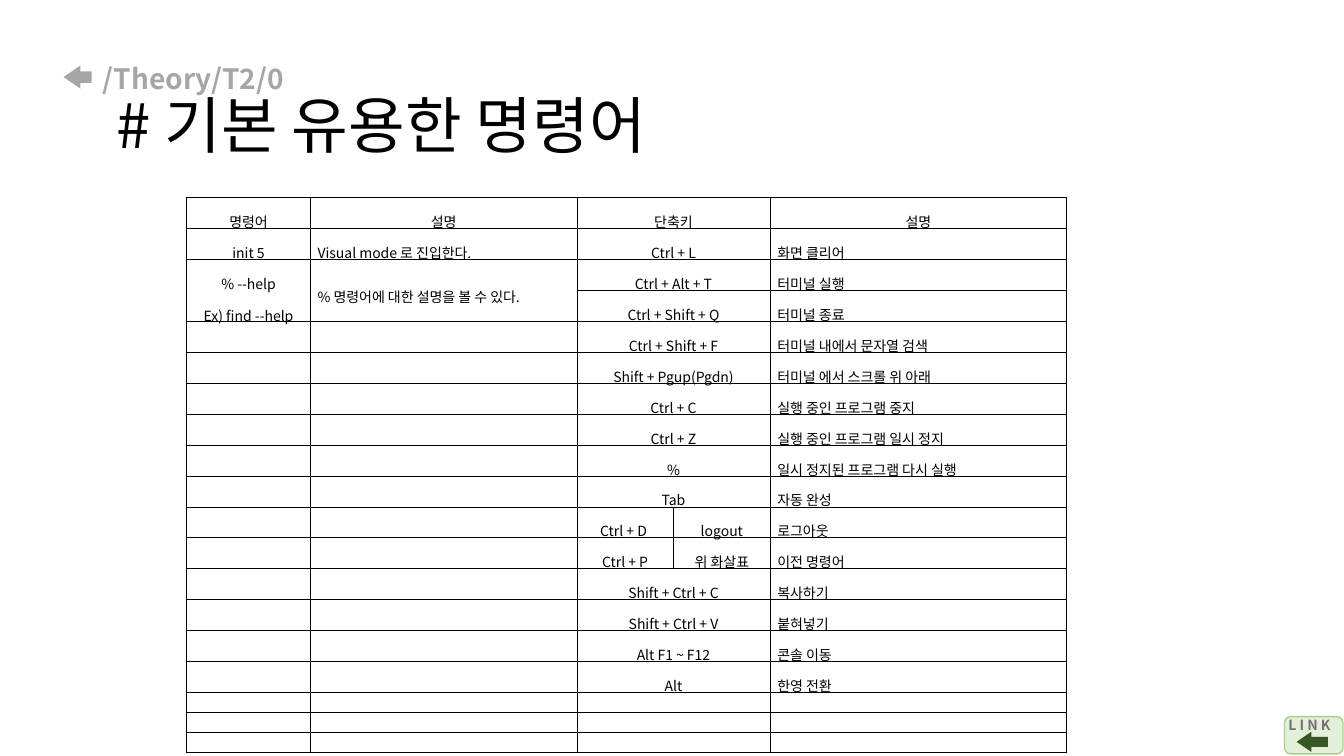
from pptx import Presentation
from pptx.util import Inches, Pt
from pptx.dml.color import RGBColor
from pptx.enum import shapes, text
from pptx.oxml import parse_xml
from pptx.oxml.ns import nsdecls, qn

FONT = "Noto Sans CJK KR"
KIND = shapes.MSO_SHAPE


def style(run, size, color, bold=False):
    look = {"size": Pt(size), "bold": bold, "name": FONT}
    for key, val in look.items():
        setattr(run.font, key, val)
    run.font.color.rgb = RGBColor.from_string(color)
    ea = run.font._element.makeelement(qn("a:ea"), {"typeface": FONT})
    run.font._element.append(ea)


def draw(where, kind, box, fill, line=None):
    part = where.add_shape(kind, *map(Inches, box))
    part.shadow.inherit = False
    part.fill.solid()
    part.fill.fore_color.rgb = RGBColor.from_string(fill)
    if line:
        part.line.color.rgb = RGBColor.from_string(line)
        part.line.width = Pt(1)
    else:
        part.line.fill.background()
    if kind == KIND.LEFT_ARROW:
        part.adjustments[1] = 0.731


deck = Presentation()
deck.slide_width, deck.slide_height = Inches(13.33), Inches(7.5)
slide = deck.slides.add_slide(deck.slide_layouts[5])

# Title with its section path
title = slide.shapes.title
place = {"left": 0.92, "top": 0.4, "width": 11.5, "height": 1.45}
for key, val in place.items():
    setattr(title, key, Inches(val))
title.text_frame.vertical_anchor = text.MSO_ANCHOR.MIDDLE
title.text_frame.word_wrap = True
para = title.text_frame.paragraphs[0]
para.alignment = text.PP_ALIGN.LEFT
para.line_spacing = 0.9
run = para.add_run()
run.text = "/Theory/T2/0"
style(run, 20, "A6A6A6", True)
para.add_line_break()
run = para.add_run()
run.text = " # 기본 유용한 명령어"
style(run, 44, "000000")
draw(slide.shapes, KIND.LEFT_ARROW, (0.63, 0.65, 0.28, 0.23), "A6A6A6")

# Link button
link = slide.shapes.add_group_shape().shapes
draw(link, KIND.ROUNDED_RECTANGLE, (12.74, 7.11, 0.58, 0.37), "E2F0D9", "A9D18E")
label = link.add_textbox(*map(Inches, (12.68, 7.06, 0.74, 0.44))).text_frame
label.word_wrap = True
run = label.paragraphs[0].add_run()
run.text = "L I N K"
style(run, 10, "767171", True)
draw(link, KIND.LEFT_ARROW, (12.86, 7.26, 0.31, 0.2), "385723")

# Command table: command, meaning, shortcut, second shortcut, meaning
rows = [
    ("명령어", "설명", "단축키", "", "설명"),
    ("init 5", "Visual mode 로 진입한다.", "Ctrl + L", "", "화면 클리어"),
    ("% --help\nEx) find --help", "% 명령어에 대한 설명을 볼 수 있다.",
     "Ctrl + Alt + T", "", "터미널 실행"),
    ("", "", "Ctrl + Shift + Q", "", "터미널 종료"),
    ("", "", "Ctrl + Shift + F", "", "터미널 내에서 문자열 검색"),
    ("", "", "Shift + Pgup(Pgdn)", "", "터미널 에서 스크롤 위 아래"),
    ("", "", "Ctrl + C", "", "실행 중인 프로그램 중지"),
    ("", "", "Ctrl + Z", "", "실행 중인 프로그램 일시 정지"),
    ("", "", "%", "", "일시 정지된 프로그램 다시 실행"),
    ("", "", "Tab", "", "자동 완성"),
    ("", "", "Ctrl + D ", "logout", "로그아웃"),
    ("", "", "Ctrl + P", "위 화살표", "이전 명령어"),
    ("", "", "Shift + Ctrl + C", "", "복사하기"),
    ("", "", "Shift + Ctrl + V", "", "붙혀넣기"),
    ("", "", "Alt F1 ~ F12", "", "콘솔 이동"),
    ("", "", "Alt", "", "한영 전환"),
] + [("",) * 5] * 3
highs = [0.3 if any(row) else 0.2 for row in rows]
wides = [1.23, 2.64, 0.96, 0.96, 2.94]
grid = slide.shapes.add_table(len(rows), len(wides), Inches(1.85), Inches(1.96),
                              Inches(sum(wides)), Inches(sum(highs))).table
grid.first_row = grid.horz_banding = False
for col, wide in zip(grid.columns, wides):
    col.width = Inches(wide)

pads = {"margin_left": 0.07, "margin_right": 0.07,
        "margin_top": 0.02, "margin_bottom": 0.02}
for r, row in enumerate(rows):
    grid.rows[r].height = Inches(highs[r])
    for c, words in enumerate(row):
        cell = grid.cell(r, c)
        for key, val in pads.items():
            setattr(cell, key, Inches(val))
        cell.vertical_anchor = text.MSO_ANCHOR.MIDDLE
        cell.fill.background()
        for n, side in enumerate("LRTB"):
            cell._tc.tcPr.insert(n, parse_xml(
                f'<a:ln{side} {nsdecls("a")} w="3556"><a:solidFill>'
                f'<a:srgbClr val="000000"/></a:solidFill></a:ln{side}>'))
        if not words:
            para = cell.text_frame.paragraphs[0]._p
            para.append(para.makeelement(qn("a:endParaRPr"), {"sz": "700"}))
            continue
        cell.text = words
        for para in cell.text_frame.paragraphs:
            mid = r == 0 or c in (0, 2, 3)
            para.alignment = text.PP_ALIGN.CENTER if mid else text.PP_ALIGN.LEFT
            para.line_spacing = 1.6
            style(para.runs[0], 10, "000000")
    if not row[3]:
        grid.cell(r, 2).merge(grid.cell(r, 3))
for c in (0, 1):
    grid.cell(2, c).merge(grid.cell(3, c))

deck.save("out.pptx")
